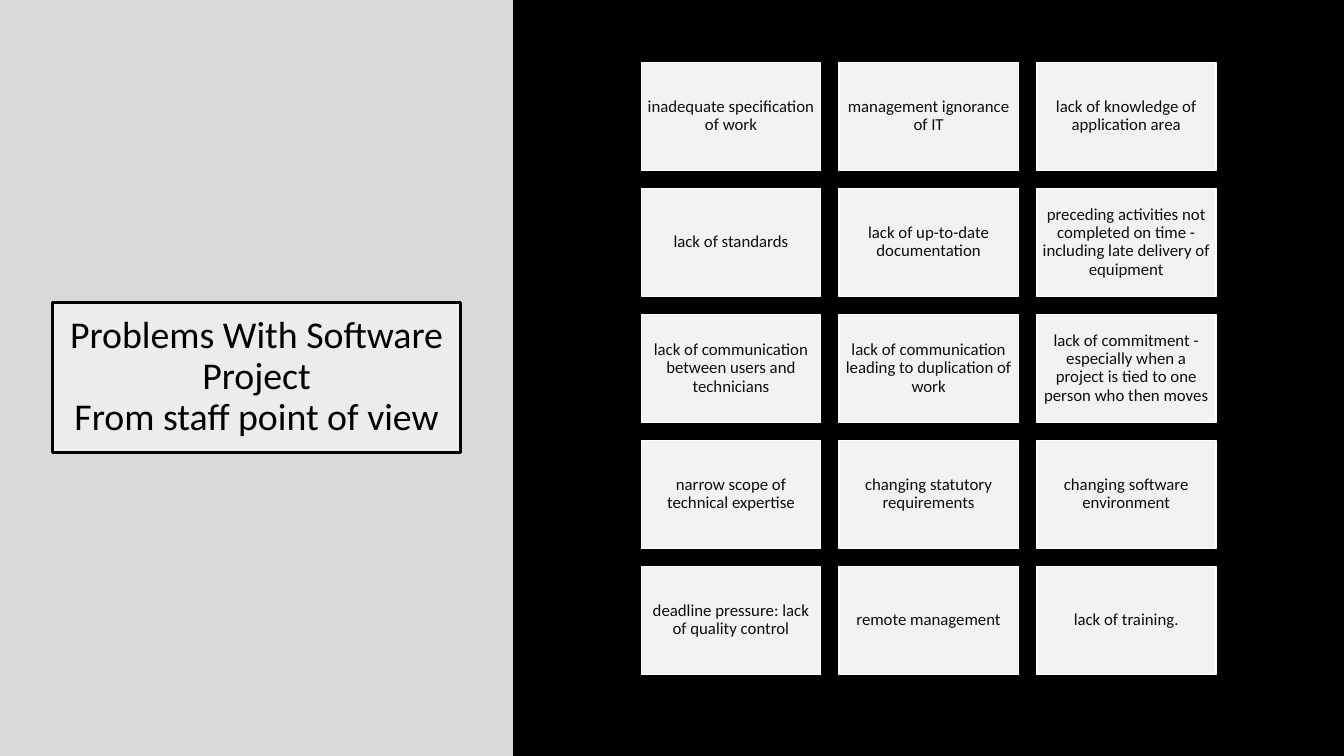
from dataclasses import dataclass

from lxml import etree
from pptx import Presentation
from pptx.dml.color import RGBColor
from pptx.enum.shapes import MSO_SHAPE
from pptx.enum.text import MSO_ANCHOR, PP_ALIGN
from pptx.oxml.ns import qn
from pptx.util import Pt

RECTANGLE = MSO_SHAPE.RECTANGLE
MIDDLE = MSO_ANCHOR.MIDDLE
CENTER = PP_ALIGN.CENTER
EMU_PER_PX = 9144
BLANK_LAYOUT = 6

SLIDE_WIDTH, SLIDE_HEIGHT = 1333, 750
SIDE_PANEL_WIDTH = 509
GRID_LEFT, GRID_TOP = 636, 62
CARD_WIDTH, CARD_HEIGHT = 178, 107
COLUMN_GAP, ROW_GAP = 18, 18
COLUMNS = 3

TITLE = "Problems With Software Project\nFrom staff point of view"
PROBLEMS = [
    "inadequate specification of work",
    "management ignorance of IT",
    "lack of knowledge of application area",
    "lack of standards",
    "lack of up-to-date documentation",
    "preceding activities not completed on time - including late delivery of equipment",
    "lack of communication between users and technicians",
    "lack of communication leading to duplication of work",
    "lack of commitment - especially when a project is tied to one person who then moves",
    "narrow scope of technical expertise",
    "changing statutory requirements",
    "changing software environment",
    "deadline pressure: lack of quality control",
    "remote management",
    "lack of training.",
]


@dataclass(frozen=True)
class Theme:
    black: str = "000000"
    white: str = "FFFFFF"
    side_panel: str = "D9D9D9"
    card: str = "F2F2F2"
    card_text: str = "0D0D0D"
    font: str = "Calibri"
    title_size: int = 27
    card_size: int = 12
    title_line: int = 2
    card_line: int = 1


THEME = Theme()


def px(length):
    return length * EMU_PER_PX


def color(value):
    return RGBColor.from_string(value)


def add_rectangle(slide, left, top, width, height, fill, line=None, line_width=1):
    shape = slide.shapes.add_shape(RECTANGLE, px(left), px(top), px(width), px(height))
    shape.shadow.inherit = False
    shape.fill.solid()
    shape.fill.fore_color.rgb = color(fill)
    if line:
        shape.line.color.rgb = color(line)
        shape.line.width = Pt(line_width)
    else:
        shape.line.fill.background()
    return shape


def set_fill_opacity(shape, percent):
    fill_color = shape.fill._xPr.find(qn("a:solidFill"))[0]
    etree.SubElement(fill_color, qn("a:alpha"), val=str(percent * 1000))


def write_text(shape, text, size, text_color, inset):
    frame = shape.text_frame
    frame.word_wrap = True
    frame.vertical_anchor = MIDDLE
    frame.margin_left = frame.margin_right = px(inset)
    frame.margin_top = frame.margin_bottom = px(5)
    paragraph = frame.paragraphs[0]
    paragraph.text = text
    paragraph.alignment = CENTER
    paragraph.line_spacing = 0.9
    paragraph.font.name = THEME.font
    paragraph.font.size = Pt(size)
    paragraph.font.color.rgb = color(text_color)


def add_title(slide):
    box = add_rectangle(slide, 52, 300, 405, 149, THEME.white, THEME.black, THEME.title_line)
    set_fill_opacity(box, 50)
    write_text(box, TITLE, THEME.title_size, THEME.black, 10)


def add_problem_grid(slide):
    for index, problem in enumerate(PROBLEMS):
        row, column = divmod(index, COLUMNS)
        left = GRID_LEFT + column * (CARD_WIDTH + COLUMN_GAP)
        top = GRID_TOP + row * (CARD_HEIGHT + ROW_GAP)
        card = add_rectangle(slide, left, top, CARD_WIDTH, CARD_HEIGHT,
                             THEME.card, THEME.white, THEME.card_line)
        write_text(card, problem, THEME.card_size, THEME.card_text, 5)


def main():
    presentation = Presentation()
    presentation.slide_width = px(SLIDE_WIDTH)
    presentation.slide_height = px(SLIDE_HEIGHT)
    slide = presentation.slides.add_slide(presentation.slide_layouts[BLANK_LAYOUT])
    slide.background.fill.solid()
    slide.background.fill.fore_color.rgb = color(THEME.black)

    add_rectangle(slide, 0, 0, SIDE_PANEL_WIDTH, SLIDE_HEIGHT, THEME.side_panel)
    add_title(slide)
    add_rectangle(slide, SIDE_PANEL_WIDTH, 0, SLIDE_WIDTH - SIDE_PANEL_WIDTH,
                  SLIDE_HEIGHT, THEME.black)
    add_problem_grid(slide)
    presentation.save("out.pptx")


if __name__ == "__main__":
    main()
